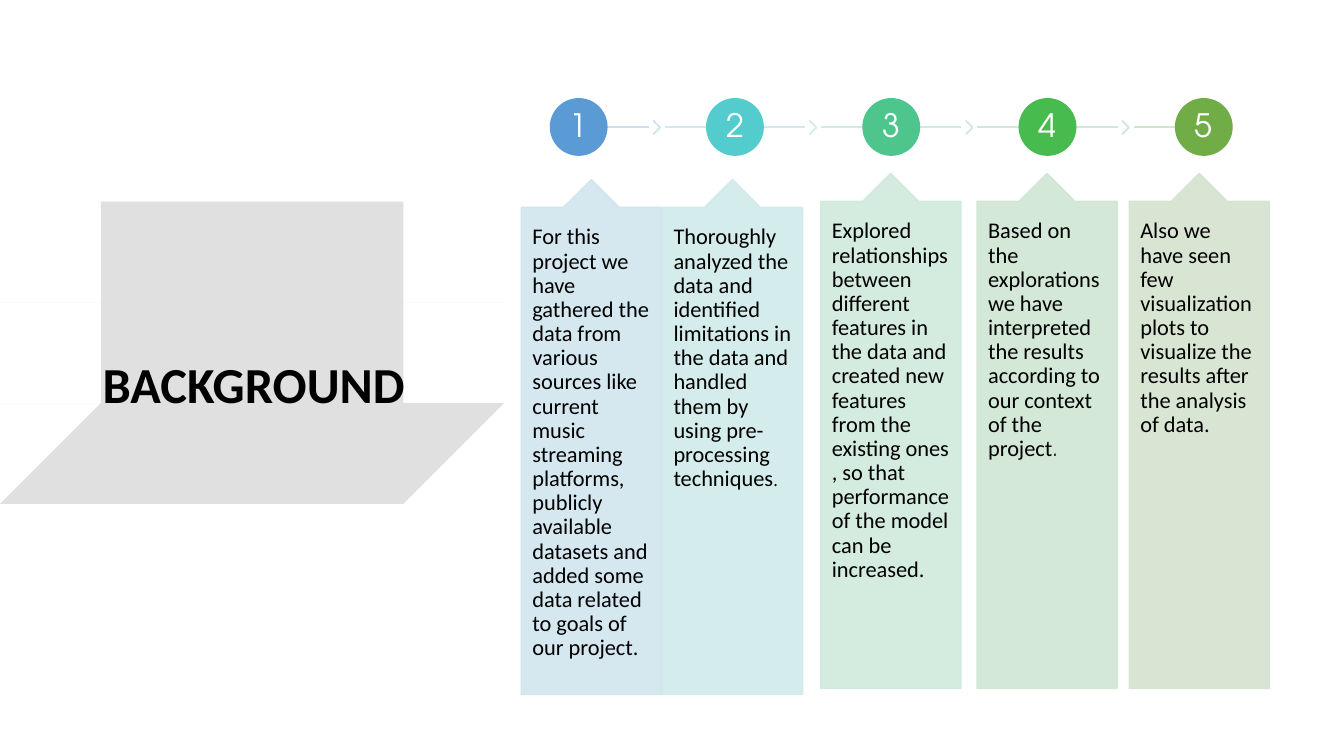
from pptx import Presentation
from pptx.dml.color import RGBColor
from pptx.enum.shapes import MSO_CONNECTOR, MSO_SHAPE
from pptx.enum.text import MSO_ANCHOR, PP_ALIGN
from pptx.oxml.ns import qn
from pptx.util import Inches, Pt
from lxml import etree

STRAIGHT = MSO_CONNECTOR.STRAIGHT
CHEVRON, OVAL, CALLOUT = MSO_SHAPE.CHEVRON, MSO_SHAPE.OVAL, MSO_SHAPE.UP_ARROW_CALLOUT
TOP, MIDDLE = MSO_ANCHOR.TOP, MSO_ANCHOR.MIDDLE
LEFT, CENTER = PP_ALIGN.LEFT, PP_ALIGN.CENTER

BODY_FONT, NUMBER_FONT = "Calibri", "TeX Gyre Adventor"
COLORS = {
    "brush": "D9D9D9", "text": "000000", "number": "FFFFFF",
    "circle": ["5B9BD5", "54CCCD", "4DC58D", "48BB4F", "70AD47"],
    "line": ["D2DEEF", "D1E8ED", "D0EAE5", "D0E8D9", "D0E5CF"],
    "chevron": ["D1E1EF", "D1EBEC", "D0EAE1", "D0E7D5"],
    "callout": ["D1E5EE", "D0EBE9", "D0E9DD", "CFE6D2", "D5E3CF"],
}

# Callout left, callout top, runs of (text, size, font)
STEPS = [
    (5.17, 1.78, [("For this project we have gathered the data from various sources like "
                   "current music streaming platforms, publicly available datasets and added "
                   "some data related to goals of our project.", 16, BODY_FONT)]),
    (6.57, 1.78, [("Thoroughly analyzed the data and identified limitations in the data and "
                   "handled them by using pre-processing techniques", 16, BODY_FONT),
                  (".", 13, BODY_FONT)]),
    (8.14, 1.72, [("Explored relationships between different features in the data and created "
                   "new features from the existing ones , so that performance of the model "
                   "can be increased.", 16, BODY_FONT)]),
    (9.69, 1.72, [("Based on the explorations we have interpreted the results according to "
                   "our context of the project", 16, BODY_FONT),
                  (".", 14, NUMBER_FONT)]),
    (11.2, 1.72, [("Also we have seen few visualization plots to visualize the results after "
                   "the analysis of data.", 16, BODY_FONT)]),
]

# Brush outline, clockwise from the top
BRUSH = [
    (2.59, 2.32), (3.85, 2.34), (4.4, 2.43), (3.98, 2.6), (4.27, 2.67), (4.6, 2.93),
    (4.65, 3.06), (4.58, 3.15), (4.64, 3.24), (4.6, 3.37), (4.49, 3.41), (4.5, 3.73),
    (4.5, 4.07), (4.64, 4.3), (4.42, 4.51), (4.3, 5.04), (4.12, 5.2), (2.89, 5.36),
    (2.02, 5.26), (1.26, 5.04), (0.86, 4.93), (1.07, 4.92), (0.73, 4.87), (0.47, 4.89),
    (0.75, 4.77), (1.08, 4.61), (0.27, 4.55), (0.61, 4.35), (0.42, 4.37), (0.73, 4.17),
    (0.6, 4.05), (0.18, 4.08), (0.44, 3.93), (0.67, 3.77), (0.53, 3.68), (0.91, 3.54),
    (1.01, 3.32), (0.27, 3.33), (0.66, 3.22), (0.36, 3.1), (0.66, 2.93), (1.07, 2.73),
    (1.54, 2.63), (1.19, 2.64), (1.37, 2.6), (1.13, 2.55), (1.41, 2.44), (2.08, 2.35),
]


def paint(sp, color, opacity=100):
    """Give a shape one colour for fill and outline, without a shadow."""
    rgb = RGBColor.from_string(color)
    sp.shadow.inherit = False
    sp.fill.solid()
    sp.fill.fore_color.rgb = rgb
    sp.line.color.rgb = rgb
    sp.line.width = Pt(1)
    for clr in sp._element.spPr.iter(qn("a:srgbClr")):
        etree.SubElement(clr, qn("a:alpha"), val=str(opacity * 1000))


def write(sp, runs, color, anchor, align, margins, bold=False):
    """Fill a shape with one paragraph; margins are (horizontal, vertical) in inches."""
    tf = sp.text_frame
    tf.word_wrap = True
    tf.vertical_anchor = anchor
    tf.margin_left = tf.margin_right = Inches(margins[0])
    tf.margin_top = tf.margin_bottom = Inches(margins[1])
    p = tf.paragraphs[0]
    p.alignment = align
    p.line_spacing = 0.9
    for text, size, font in runs:
        r = p.add_run()
        r.text = text
        r.font.size = Pt(size)
        r.font.name = font
        r.font.bold = bold
        r.font.color.rgb = RGBColor.from_string(color)


prs = Presentation()
prs.slide_width, prs.slide_height = Inches(13.33), Inches(7.5)
slide = prs.slides.add_slide(prs.slide_layouts[6])
shapes = slide.shapes

# Title on a brush stroke
builder = shapes.build_freeform(*BRUSH[0], scale=Inches(1))
builder.add_line_segments(BRUSH[1:], close=True)
brush = builder.convert_to_shape()
paint(brush, COLORS["brush"], opacity=80)
brush.line.fill.background()

title = shapes.add_textbox(Inches(0.92), Inches(1.64), Inches(3.52), Inches(4.4))
write(title, [("BACKGROUND", 36, BODY_FONT)], COLORS["text"], MIDDLE, LEFT, (0.1, 0.05), bold=True)

# Numbered steps
PITCH, COLUMN_W, DIAMETER = 1.55, 1.39, 0.56
FIRST_CENTER, LINE_Y = 5.74, 1.26
last_center = FIRST_CENTER + PITCH * (len(STEPS) - 1)

for i, (left, top, runs) in enumerate(STEPS):
    center = FIRST_CENTER + PITCH * i
    line_start = max(center - COLUMN_W / 2, FIRST_CENTER)
    line_end = min(center + COLUMN_W / 2, last_center)
    line = shapes.add_connector(STRAIGHT, Inches(line_start), Inches(LINE_Y),
                                Inches(line_end), Inches(LINE_Y))
    line.line.color.rgb = RGBColor.from_string(COLORS["line"][i])
    line.line.width = Pt(1)
    etree.SubElement(line._element.spPr, qn("a:effectLst"))

    if i < len(STEPS) - 1:
        chevron = shapes.add_shape(CHEVRON, Inches(center + 0.74), Inches(1.2),
                                   Inches(0.07), Inches(0.13))
        chevron.adjustments[0] = 0.9
        paint(chevron, COLORS["chevron"][i], opacity=90)

    circle = shapes.add_shape(OVAL, Inches(center - DIAMETER / 2), Inches(LINE_Y - DIAMETER / 2),
                              Inches(DIAMETER), Inches(DIAMETER))
    paint(circle, COLORS["circle"][i])
    write(circle, [(str(i + 1), 23, NUMBER_FONT)], COLORS["number"], MIDDLE, CENTER, (0.02, 0.02))

    callout = shapes.add_shape(CALLOUT, Inches(left), Inches(top), Inches(COLUMN_W), Inches(5.11))
    for k, value in enumerate((0.5, 0.2, 0.2, 1)):
        callout.adjustments[k] = value
    paint(callout, COLORS["callout"][i], opacity=90)
    write(callout, runs, COLORS["text"], TOP, LEFT, (0.11, 0.18))

prs.save("out.pptx")
